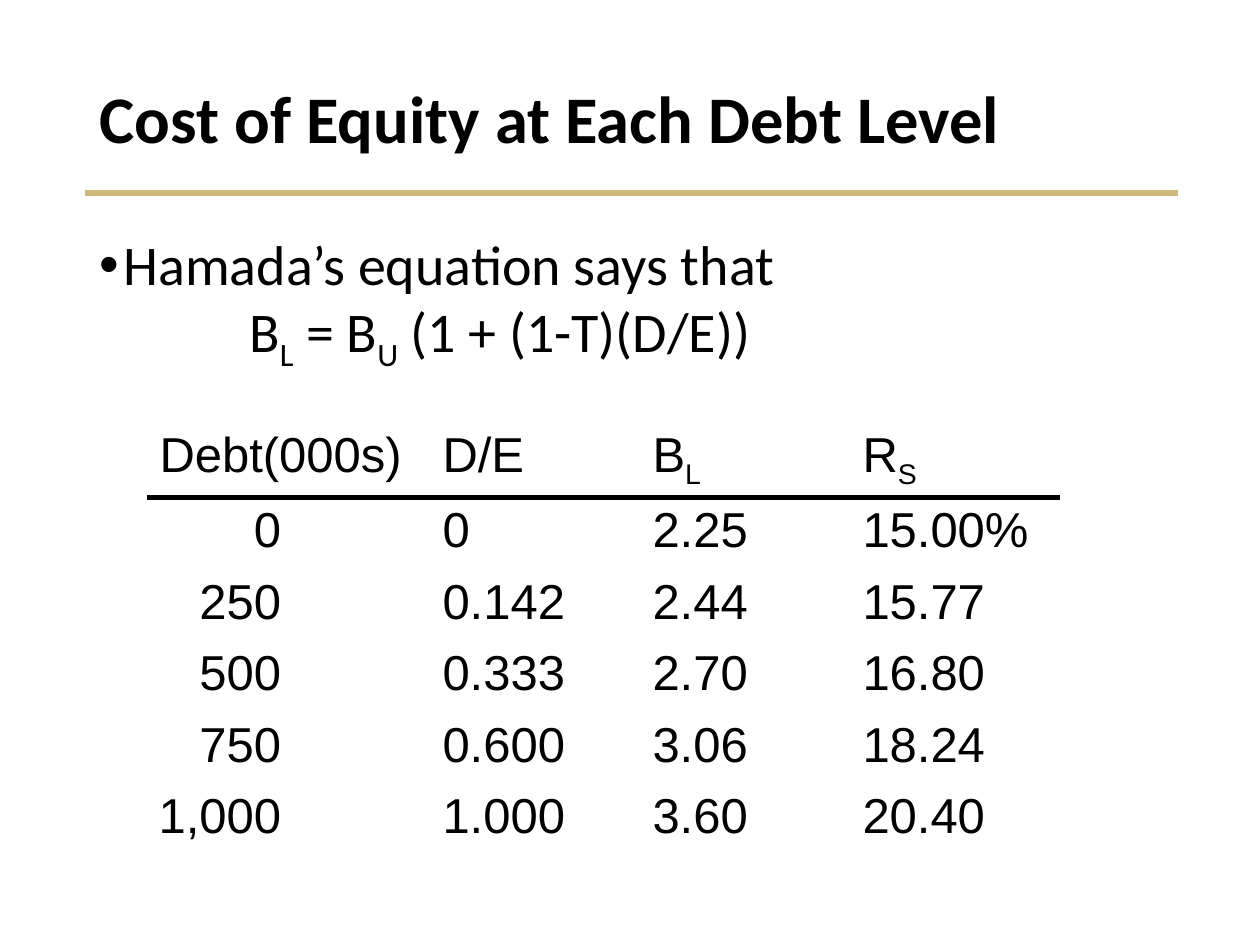
"""Build a slide on the cost of equity at each debt level."""
from lxml import etree
from pptx import Presentation
from pptx.dml.color import RGBColor
from pptx.enum.shapes import MSO_CONNECTOR
from pptx.enum.text import MSO_ANCHOR, PP_ALIGN
from pptx.oxml import parse_xml
from pptx.oxml.ns import nsdecls, qn
from pptx.util import Pt

STRAIGHT = MSO_CONNECTOR.STRAIGHT
MIDDLE = MSO_ANCHOR.MIDDLE
LEFT, RIGHT = PP_ALIGN.LEFT, PP_ALIGN.RIGHT
COLORS = {"text": "000000", "rule": "CFB87C"}
EMU_PER_INCH, PX_PER_INCH = 914400, 126
PLAIN_TABLE_STYLE = "{2D5ABB26-0587-4C30-8999-92F81FD0307C}"


def px(length):
    return round(length * EMU_PER_INCH / PX_PER_INCH)


def write(paragraph, parts, size, font_name, bold=False):
    for position, part in enumerate(parts):
        run = paragraph.add_run()
        run.text = part
        run.font.size = Pt(size)
        run.font.name = font_name
        run.font.bold = bold
        run.font.color.rgb = RGBColor.from_string(COLORS["text"])
        if position % 2:
            run.font._element.set("baseline", "-25000")


presentation = Presentation()
presentation.slide_width, presentation.slide_height = px(1260), px(945)
slide = presentation.slides.add_slide(presentation.slide_layouts[5])

title = slide.shapes.title
title.left, title.top, title.width, title.height = px(87), px(50), px(1086), px(143)
title.text_frame.vertical_anchor = MIDDLE
heading = title.text_frame.paragraphs[0]
heading.alignment = LEFT
heading.line_spacing = 0.9
write(heading, ["Cost of Equity at Each Debt Level"], 38, "Calibri", bold=True)

rule = slide.shapes.add_connector(STRAIGHT, px(85), px(193), px(1178), px(193))
rule.line.color.rgb = RGBColor.from_string(COLORS["rule"])
rule.line.width = Pt(3)
etree.SubElement(rule._element.spPr, qn("a:effectLst"))

body = slide.shapes.add_textbox(px(87), px(231), px(1086), px(150)).text_frame
body.word_wrap = True
statement, formula = body.paragraphs[0], body.add_paragraph()
for paragraph, margin, indent in ((statement, 24, -24), (formula, 150, 0)):
    paragraph.line_spacing = 0.9
    properties = paragraph._p.get_or_add_pPr()
    properties.set("marL", str(px(margin)))
    properties.set("indent", str(px(indent)))
bullet = statement._p.get_or_add_pPr()
etree.SubElement(bullet, qn("a:buFont")).set("typeface", "Arial")
etree.SubElement(bullet, qn("a:buChar")).set("char", "•")
write(statement, ["Hamada’s equation says that"], 32, "Calibri")
write(formula, ["B", "L", " = B", "U", " (1 + (1-T)(D/E))"], 32, "Calibri")

rows = [
    [["Debt(000s)"], ["D/E"], ["B", "L"], ["R", "S"]],
    [["0"], ["0"], ["2.25"], ["15.00%"]],
    [["250"], ["0.142"], ["2.44"], ["15.77"]],
    [["500"], ["0.333"], ["2.70"], ["16.80"]],
    [["750"], ["0.600"], ["3.06"], ["18.24"]],
    [["1,000"], ["1.000"], ["3.60"], ["20.40"]],
]
column_widths = [283, 210, 210, 210]
frame = slide.shapes.add_table(
    len(rows), len(column_widths), px(147), px(422), px(sum(column_widths)), px(428)
)
table = frame.table
table.first_row = table.horz_banding = False
table._tbl.tblPr.find(qn("a:tableStyleId")).text = PLAIN_TABLE_STYLE
for column, width in zip(table.columns, column_widths):
    column.width = px(width)

border_fills = {
    True: f'<a:solidFill><a:srgbClr val="{COLORS["text"]}"/></a:solidFill>',
    False: "<a:noFill/>",
}
for row_index, row in enumerate(rows):
    for column_index, parts in enumerate(row):
        cell = table.cell(row_index, column_index)
        cell.fill.background()
        paragraph = cell.text_frame.paragraphs[0]
        if row_index == 0:
            cell.margin_bottom = px(2)
        elif column_index == 0:
            paragraph.alignment = RIGHT
            cell.margin_left, cell.margin_right = 0, px(149)
        write(paragraph, parts, 28, "Arial")
        for position, (side, edge) in enumerate((("lnT", row_index), ("lnB", row_index + 1))):
            border = parse_xml(
                f'<a:{side} {nsdecls("a")} w="{Pt(3)}">{border_fills[edge == 1]}</a:{side}>'
            )
            cell._tc.get_or_add_tcPr().insert(position, border)

presentation.save("out.pptx")
